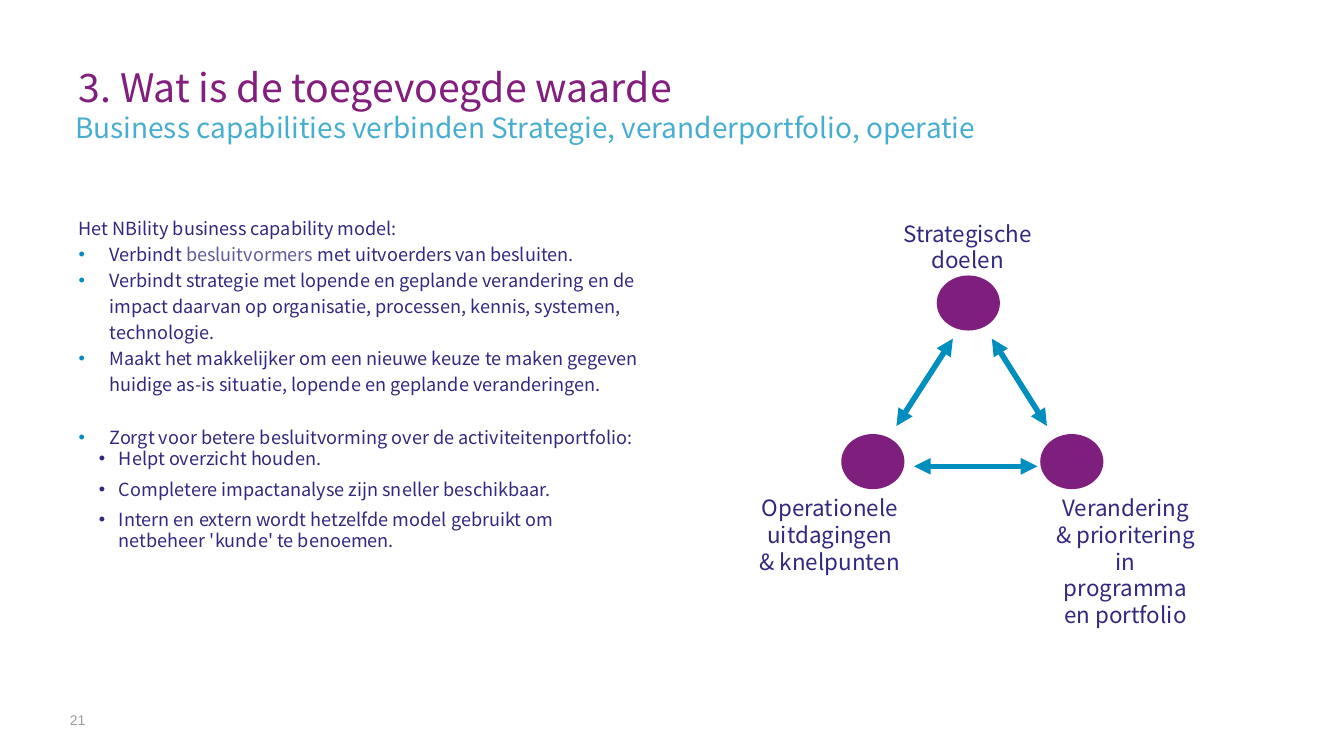
from lxml import etree
from pptx import Presentation
from pptx import util as u
from pptx.dml.color import RGBColor
from pptx.enum import shapes, text
from pptx.oxml import ns

COLORS = {"purple": "7F1F7D", "title": "821E7D", "sky": "48AED0", "blue": "008EBE",
          "navy": "30297F", "soft": "605B9D", "gray": "9E9C9E"}
FONT = "Noto Sans CJK TC"


def rgb(name):
    """Return the palette colour called name."""
    return RGBColor.from_string(COLORS[name])


def write(p, content, size=9.7, color="navy", font=FONT):
    """Append formatted text to a paragraph, breaking lines at newlines."""
    for i, line in enumerate(content.split("\n")):
        if i:
            p.add_line_break()
        r = p.add_run()
        r.text = line
        r.font.size, r.font.name = u.Pt(size), font
        r.font.color.rgb = rgb(color)


class Deck:
    """Hold the style and current slide, placed on a grid of 0.1 inch cells."""

    def __init__(self, cols, rows):
        """Start a deck with one blank slide of cols by rows cells."""
        self.prs = Presentation()
        self.prs.slide_width, self.prs.slide_height = self.cells(cols, rows)
        self.s = self.prs.slides.add_slide(self.prs.slide_layouts[6])

    def cells(self, *counts):
        """Convert grid cells to lengths."""
        return [u.Inches(n / 10) for n in counts]

    def box(self, *at, grow=False):
        """Add an empty text box without insets."""
        sp = self.s.shapes.add_textbox(*self.cells(*at))
        tf = sp.text_frame
        tf.margin_left = tf.margin_top = tf.margin_right = tf.margin_bottom = 0
        tf.word_wrap = True
        tf.auto_size = text.MSO_AUTO_SIZE.SHAPE_TO_FIT_TEXT if grow else text.MSO_AUTO_SIZE.NONE
        return sp

    def label(self, content, *at, align=None, spacing=None, grow=False, **style):
        """Add a text box of one paragraph."""
        p = self.box(*at, grow=grow).text_frame.paragraphs[0]
        p.alignment, p.line_spacing = align, spacing
        write(p, content, **style)

    def bullet(self, p, color, indent, hang, level=0):
        """Give a paragraph a coloured bullet and a hanging indent."""
        p.level = level
        pPr = p._p.get_or_add_pPr()
        left, first = self.cells(indent, -hang)
        pPr.set("marL", str(left))
        pPr.set("indent", str(first))
        clr = etree.SubElement(pPr, ns.qn("a:buClr"))
        etree.SubElement(clr, ns.qn("a:srgbClr"), val=COLORS[color])
        etree.SubElement(pPr, ns.qn("a:buFont"), typeface="Arial")
        etree.SubElement(pPr, ns.qn("a:buChar"), char="•")

    def body(self, intro, points, details, *at, gap):
        """Add the two-column text with its bullets and sub-bullets."""
        sp = self.box(*at)
        bodyPr = sp.element.txBody.bodyPr
        bodyPr.set("numCol", "2")
        bodyPr.set("spcCol", str(self.cells(gap)[0]))
        tf = sp.text_frame
        p = tf.paragraphs[0]
        p.line_spacing = 1.2
        write(p, intro)
        for runs in points:
            p = tf.add_paragraph()
            self.bullet(p, "blue", 2.3, 2.3)
            p.line_spacing = 1.2
            for content, color in runs:
                write(p, content, color=color)
        p.space_before = u.Pt(14.1)
        for content in details:
            p = tf.add_paragraph()
            self.bullet(p, "navy", 3, 1.5, level=3)
            p.space_after = u.Pt(4.5)
            write(p, content)

    def node(self, *at):
        """Add a purple round node."""
        sp = self.s.shapes.add_shape(shapes.MSO_SHAPE.FLOWCHART_CONNECTOR, *self.cells(*at))
        sp.shadow.inherit = False
        sp.fill.solid()
        sp.fill.fore_color.rgb = rgb("purple")
        sp.line.fill.background()

    def arrow(self, *ends):
        """Add a straight arrow with a head at both ends."""
        c = self.s.shapes.add_connector(shapes.MSO_CONNECTOR.STRAIGHT, *self.cells(*ends))
        c.line.color.rgb, c.line.width = rgb("blue"), u.Pt(3)
        ln = c.element.spPr.get_or_add_ln()
        for end in ("a:headEnd", "a:tailEnd"):
            etree.SubElement(ln, ns.qn(end), type="triangle")
        etree.SubElement(c.element.spPr, ns.qn("a:effectLst"))


POINTS = [
    [("Verbindt ", "navy"), ("besluitvormers", "soft"),
     (" met uitvoerders van besluiten.", "navy")],
    [("Verbindt strategie met lopende en geplande verandering en de impact daarvan op "
      "organisatie, processen, kennis, systemen, technologie.", "navy")],
    [("Maakt het makkelijker om een nieuwe keuze te maken gegeven huidige as-is situatie, "
      "lopende en geplande veranderingen.", "navy")],
    [("Zorgt voor betere besluitvorming over de activiteitenportfolio:", "navy")],
]
DETAILS = [
    "Helpt overzicht houden.",
    "Completere impactanalyse zijn sneller beschikbaar.",
    "Intern en extern wordt hetzelfde model gebruikt om\nnetbeheer 'kunde' te benoemen.",
]
LABELS = [
    ("Strategische doelen", 66.75, 16.35, 4),
    ("Operationele\nuitdagingen\n& knelpunten", 56.5, 36.75, 6.1),
    ("Verandering\n& prioritering in programma en portfolio", 78.5, 36.75, 10.1),
]


def main():
    """Build and save the slide."""
    d = Deck(100, 56.25)
    d.label("3. Wat is de toegevoegde waarde", 5.85, 4.3, 72.8, 3.9,
            spacing=u.Pt(28), size=21, color="title")
    for x, y in ((69.7, 20.5), (62.6, 32.3), (77.4, 32.3)):
        d.node(x, y, 4.7, 4.1)
    for ends in ((66.7, 31.7, 70.9, 25.2), (77.9, 31.7, 73.8, 25.2), (68, 34.7, 77.2, 34.7)):
        d.arrow(*ends)
    for content, x, y, h in LABELS:
        d.label(content, x, y, 10.5, h, align=text.PP_ALIGN.CENTER, grow=True, size=12)
    d.body("Het NBility business capability model:", POINTS, DETAILS,
           5.85, 15.87, 91.5, 36.8, gap=6.3)
    d.label("Business capabilities verbinden Strategie, veranderportfolio, operatie",
            5.6, 7.7, 75.5, 2.2, spacing=1.2, size=15, color="sky")
    d.label("21", 5.2, 52.95, 22.5, 3, size=7.5, color="gray", font="Arial")
    d.prs.save("out.pptx")


if __name__ == "__main__":
    main()
